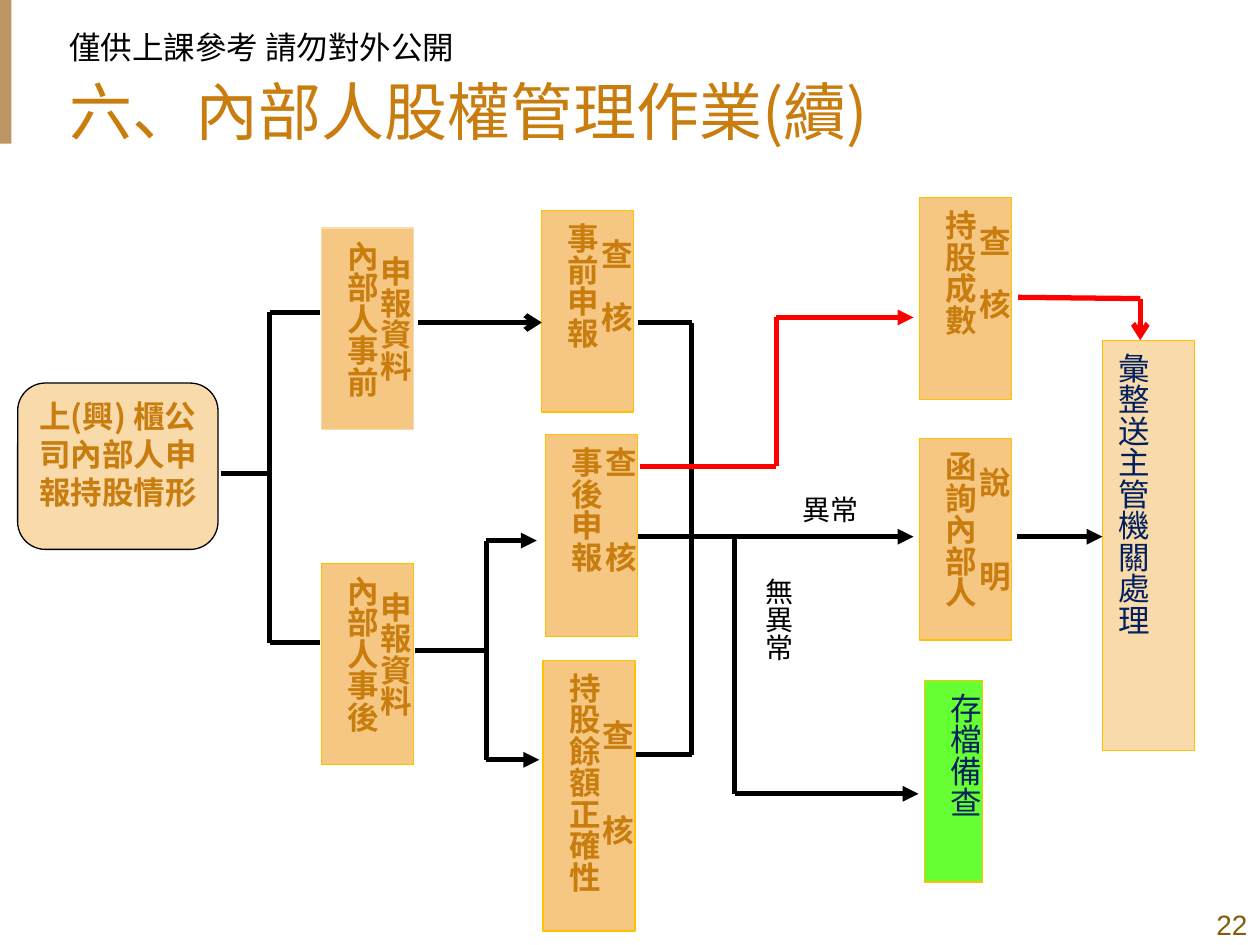
from itertools import pairwise

from lxml import etree
from pptx import Presentation
from pptx.dml.color import RGBColor
from pptx.enum.shapes import MSO_CONNECTOR, MSO_SHAPE
from pptx.enum.text import MSO_ANCHOR, MSO_AUTO_SIZE, PP_ALIGN
from pptx.oxml.ns import qn
from pptx.util import Inches, Pt

RECTANGLE, ROUNDED = MSO_SHAPE.RECTANGLE, MSO_SHAPE.ROUNDED_RECTANGLE
STRAIGHT = MSO_CONNECTOR.STRAIGHT
TOP, MIDDLE, BOTTOM = MSO_ANCHOR.TOP, MSO_ANCHOR.MIDDLE, MSO_ANCHOR.BOTTOM
LEFT, CENTER, RIGHT = PP_ALIGN.LEFT, PP_ALIGN.CENTER, PP_ALIGN.RIGHT
GROW, FIXED = MSO_AUTO_SIZE.SHAPE_TO_FIT_TEXT, MSO_AUTO_SIZE.NONE

BLACK = RGBColor(0x00, 0x00, 0x00)
RED = RGBColor(0xFF, 0x00, 0x00)
BROWN = RGBColor(0xC8, 0x7D, 0x0E)
DARK_GOLD = RGBColor(0x80, 0x5F, 0x0A)
TAN = RGBColor(0xBC, 0x97, 0x63)
ORANGE = RGBColor(0xF6, 0xC7, 0x82)
CREAM = RGBColor(0xF9, 0xDA, 0xAB)
GOLD = RGBColor(0xFF, 0xC0, 0x00)
GREEN = RGBColor(0x66, 0xFF, 0x33)
NAVY = RGBColor(0x00, 0x20, 0x60)

SANS, SERIF, NUMBER = "Noto Sans CJK SC", "Times New Roman", "Arial"

# The slide is a grid of 100 columns by 75 rows
CELL = Inches(0.1)
BOX_WIDTH, BOX_HEIGHT = 7.3, 16


def cells(*counts):
    return [round(count * CELL) for count in counts]


class FlowSlide:
    def __init__(self, presentation):
        self.slide = presentation.slides.add_slide(presentation.slide_layouts[6])
        self.shapes = self.slide.shapes

    def add_text(self, shape, lines, size, font, color, bold=False, align=LEFT,
                 anchor=TOP, spacing=None, before=None, vertical=False, auto=FIXED,
                 wrap=True, inset=None):
        frame = shape.text_frame
        frame.word_wrap, frame.auto_size = wrap, auto
        frame.vertical_anchor = anchor
        if inset is not None:
            frame.margin_left = frame.margin_right = Inches(inset)
            frame.margin_top = frame.margin_bottom = Inches(inset)
        if vertical:
            frame._txBody.bodyPr.set("vert", "eaVert")
        for index, line in enumerate(lines):
            paragraph = frame.paragraphs[0] if index == 0 else frame.add_paragraph()
            paragraph.alignment = align
            if spacing:
                paragraph.line_spacing = spacing
            if before:
                paragraph.space_before = Pt(before)
            run = paragraph.add_run()
            run.text = line
            run.font.size, run.font.name = Pt(size), font
            run.font.bold, run.font.color.rgb = bold, color
            if font == SANS:
                east_asian = etree.SubElement(run._r.get_or_add_rPr(), qn("a:ea"))
                east_asian.set("typeface", font)

    def label(self, area, text, size, font, color, **style):
        self.add_text(self.shapes.add_textbox(*cells(*area)), [text], size, font,
                      color, **style)

    def block(self, area, fill, border=None, kind=RECTANGLE):
        shape = self.shapes.add_shape(kind, *cells(*area))
        shape.shadow.inherit = False
        shape.fill.solid()
        shape.fill.fore_color.rgb = fill
        if border is None:
            shape.line.fill.background()
        else:
            shape.line.color.rgb = border
            shape.line.width = Pt(0.75)
        return shape

    def step(self, left, top, lines, width=BOX_WIDTH, height=BOX_HEIGHT,
             fill=ORANGE, border=GOLD, color=BROWN, bold=True, anchor=TOP):
        shape = self.block((left, top, width, height), fill, border)
        self.add_text(shape, lines, 18, SERIF, color, bold, CENTER, anchor,
                      spacing=0.8, before=1.8, vertical=True, auto=GROW)
        return shape

    def route(self, *points, color=BLACK, arrow=None):
        """Joined straight lines; the arrowhead sits on the last point."""
        for start, end in pairwise(points):
            line = self.shapes.add_connector(STRAIGHT, *cells(*start, *end))
            line.line.color.rgb, line.line.width = color, Pt(3)
            properties = line._element.spPr
            etree.SubElement(properties, qn("a:effectLst"))
            outline = properties.find(qn("a:ln"))
            etree.SubElement(outline, qn("a:round"))
            if arrow and end == points[-1]:
                etree.SubElement(outline, qn("a:tailEnd")).set("type", arrow)


def main():
    presentation = Presentation()
    presentation.slide_width, presentation.slide_height = cells(100, 75)
    flow = FlowSlide(presentation)

    # Frame of the page
    flow.block((-0.2, -0.1, 1.1, 11.5), TAN)
    flow.label((90.8, 71.5, 8.7, 3.7), "22", 16, NUMBER, DARK_GOLD,
               align=RIGHT, anchor=BOTTOM, inset=0.05)
    flow.label((5, 1.7, 33.1, 4), "僅供上課參考 請勿對外公開", 18, SANS, BLACK, inset=0.05)
    flow.label((5, 0.9, 90, 16.5), "六、內部人股權管理作業(續)", 36, SANS, BROWN,
               anchor=MIDDLE, spacing=0.9, inset=0.05)

    # Starting point
    start = flow.block((1.4, 30.4, 15.9, 13.2), CREAM, BLACK, ROUNDED)
    flow.add_text(start, ["上(興) 櫃公", "司內部人申", "報持股情形"], 18, SANS, BROWN,
                  bold=True, align=CENTER, wrap=False)

    # Filings, checks and follow-up
    flow.step(25.5, 18.1, ["申報資料", "內部人事前"], border=CREAM)
    flow.step(25.5, 44.7, ["申報資料", "內部人事後"])
    flow.step(43, 16.7, ["查　核", "事前申報"])
    flow.step(43.3, 34.5, ["查　　核", "事後申報"])
    flow.step(43.1, 52.4, ["查　　核", "持股餘額正確性"], height=21.5)
    flow.step(73, 15.7, ["查　核", "持股成數"])
    flow.step(73, 34.8, ["說　　明", "函詢內部人"])
    flow.step(73.4, 54, ["存檔備查"], width=4.6, fill=GREEN, color=NAVY, bold=False)
    report = flow.step(87.5, 27, ["彙整送主管機關處理"], height=32.6, fill=CREAM,
                       color=NAVY, bold=False, anchor=MIDDLE)
    report.text_frame.margin_right = Inches(0.35)

    # Outcome labels
    flow.label((62.7, 38.6, 9.2, 3.7), "異常", 16, SERIF, BLACK, auto=GROW)
    flow.label((58.9, 44.9, 4.7, 8.8), "無異常", 16, SERIF, BLACK,
               vertical=True, auto=GROW)

    # Start to the two filings
    flow.route((25.4, 24.8), (21.4, 24.8), (21.4, 51), (25.4, 51))
    flow.route((17.5, 37.6), (21.4, 37.6))

    # Filings to checks
    flow.route((33.2, 25.6), (43, 25.6), arrow="arrow")
    flow.route((32.9, 51.6), (38.6, 51.6))
    for tip in ((42.6, 42.9), (42.8, 60.3)):
        flow.route((38.6, 51.6), (38.6, tip[1]), tip, arrow="triangle")

    # Checks to follow-up
    flow.route((50.6, 25.6), (54.9, 25.6), (54.9, 59.9), (50.5, 59.9))
    flow.route((50.6, 42.6), (72.5, 42.6), arrow="triangle")
    flow.route((58.3, 42.6), (58.3, 63), (72.9, 63), arrow="triangle")
    flow.route((80.7, 42.6), (87.5, 42.6), arrow="triangle")

    # Shareholding ratio route
    flow.route((50.8, 37), (61.6, 37), (61.6, 25.2), (72.5, 25.2),
               color=RED, arrow="triangle")
    flow.route((80.8, 23.6), (90.5, 23.7), (90.5, 27), color=RED, arrow="arrow")

    presentation.save("out.pptx")


if __name__ == "__main__":
    main()
